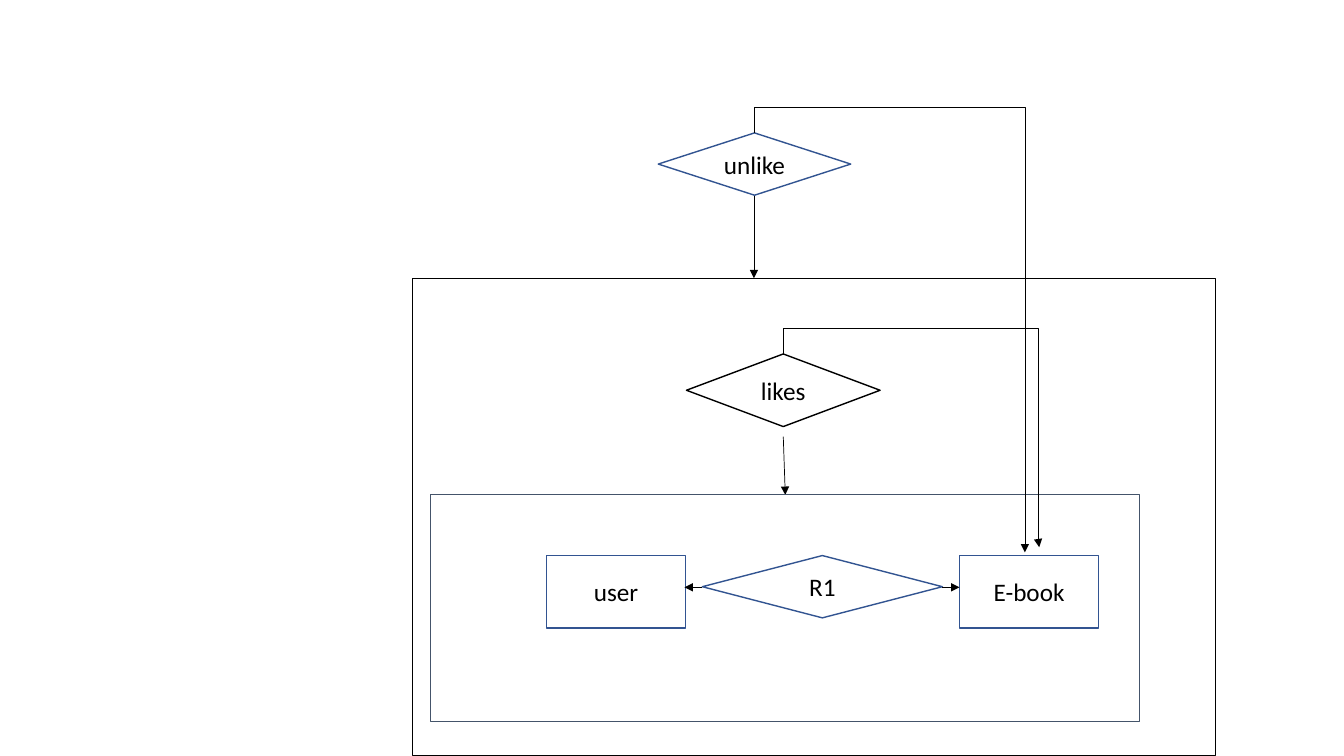
from lxml import etree
from pptx import Presentation
from pptx.dml.color import RGBColor
from pptx.enum.shapes import MSO_CONNECTOR, MSO_SHAPE
from pptx.enum.text import MSO_ANCHOR, PP_ALIGN
from pptx.oxml.ns import qn
from pptx.util import Cm, Pt

RECTANGLE = MSO_SHAPE.RECTANGLE
DIAMOND = MSO_SHAPE.DIAMOND
STRAIGHT = MSO_CONNECTOR.STRAIGHT
ELBOW = MSO_CONNECTOR.ELBOW
MIDDLE = MSO_ANCHOR.MIDDLE
CENTER = PP_ALIGN.CENTER

COLORS = {
    "black": "000000",
    "white": "FFFFFF",
    "blue": "325491",
    "slate": "44546A",
}


class Diagram:
    """Draws the parts of an entity-relationship diagram on one slide."""

    font = "Calibri"
    text_size = Pt(18)

    def __init__(self, slide):
        self.shapes = slide.shapes

    def color(self, name):
        return RGBColor.from_string(COLORS[name])

    def outline(self, kind, box, line, width, fill=None):
        shape = self.shapes.add_shape(kind, *map(Cm, box))
        shape.shadow.inherit = False
        if fill:
            shape.fill.solid()
            shape.fill.fore_color.rgb = self.color(fill)
        else:
            shape.fill.background()
        shape.line.color.rgb = self.color(line)
        shape.line.width = Pt(width)
        return shape

    def frame(self, box, line):
        self.outline(RECTANGLE, box, line, 0.75)

    def node(self, kind, label, box, line="blue", fill=None):
        frame = self.outline(kind, box, line, 1, fill).text_frame
        frame.vertical_anchor = MIDDLE
        paragraph = frame.paragraphs[0]
        paragraph.text = label
        paragraph.alignment = CENTER
        paragraph.font.name = self.font
        paragraph.font.size = self.text_size
        paragraph.font.color.rgb = self.color("black")

    def arrow(self, start, end, kind=STRAIGHT):
        connector = self.shapes.add_connector(kind, *map(Cm, start + end))
        connector.line.color.rgb = self.color("black")
        connector.line.width = Pt(0.5)
        properties = connector._element.spPr
        etree.SubElement(properties.find(qn("a:ln")), qn("a:tailEnd"), type="triangle")
        etree.SubElement(properties, qn("a:effectLst"))
        return properties

    def loop_arrow(self, start, end, rise, across=None):
        """Leaves upward by rise, runs right and drops to the end point."""
        (left, top), (right, bottom) = start, end
        run, drop = right - left, bottom - top
        center_x, center_y = (left + right) / 2, (top + bottom) / 2
        # The elbow is laid out sideways, then turned by 270 degrees
        properties = self.arrow(
            (center_x + drop / 2, center_y - run / 2),
            (center_x - drop / 2, center_y + run / 2),
            ELBOW,
        )
        properties.find(qn("a:xfrm")).set("rot", str(270 * 60000))
        bends = [-rise / drop]
        if across is not None:
            bends.append(across)
        geometry = properties.find(qn("a:prstGeom"))
        geometry.set("prst", f"bentConnector{len(bends) + 2}")
        guides = geometry.find(qn("a:avLst"))
        for number, bend in enumerate(bends, 1):
            etree.SubElement(guides, qn("a:gd"), name=f"adj{number}",
                             fmla=f"val {round(bend * 100000)}")


def main():
    presentation = Presentation()
    presentation.slide_width = Cm(33.87)
    presentation.slide_height = Cm(19.05)
    slide = presentation.slides.add_slide(presentation.slide_layouts[6])
    diagram = Diagram(slide)

    # Entities and the relationship between them
    for entity, left in (("user", 13.77), ("E-book", 24.18)):
        diagram.node(RECTANGLE, entity, (left, 14, 3.51, 1.83), fill="white")
    diagram.node(DIAMOND, "R1", (17.7, 14, 6.05, 1.57))
    diagram.arrow((17.7, 14.8), (17.25, 14.8))
    diagram.arrow((23.75, 14.8), (24.18, 14.8))

    # "likes" and the aggregate it points to
    diagram.node(DIAMOND, "likes", (17.3, 8.92, 4.88, 1.83), "black", "white")
    diagram.arrow((19.74, 11), (19.79, 12.47))
    diagram.frame((10.85, 12.47, 17.86, 5.72), "slate")

    # "unlike" and the outer aggregate
    diagram.node(DIAMOND, "unlike", (16.59, 3.35, 4.85, 1.57))
    diagram.arrow((19, 4.95), (19, 7.01))
    diagram.loop_arrow((19.74, 8.92), (26.19, 13.79), 0.64, across=0.996)
    diagram.frame((10.39, 7.01, 20.24, 12.04), "black")
    diagram.loop_arrow((19, 3.35), (25.83, 13.92), 0.64)

    presentation.save("out.pptx")


if __name__ == "__main__":
    main()
